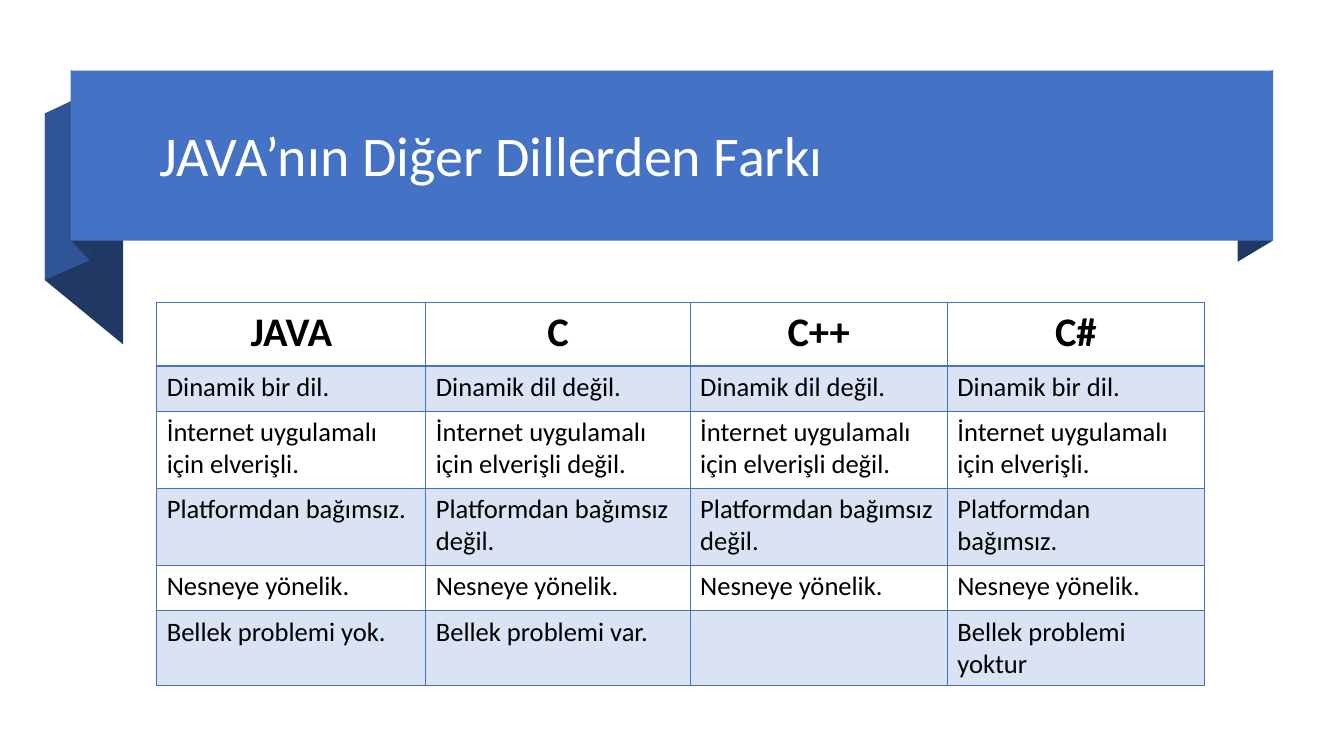
from dataclasses import dataclass

from lxml.etree import SubElement
from pptx import Presentation
from pptx.dml.color import RGBColor
from pptx.enum.shapes import MSO_SHAPE
from pptx.enum.text import PP_ALIGN
from pptx.oxml.ns import qn
from pptx.util import Pt

FONT = "Calibri"
COLORS = {
    "band": "4472C4",
    "side": "2F5597",
    "shade": "203864",
    "stripe": "DAE3F3",
    "title": "FFFFFF",
    "text": "000000",
}


@dataclass(frozen=True)
class Fold:
    """A ribbon fold: a parallelogram with upright sides, in points."""

    left: float
    right: float
    left_top: float
    right_top: float
    depth: float
    color: str


@dataclass(frozen=True)
class Row:
    """A table row with its height in points."""

    height: float
    texts: tuple[str, ...]


FOLDS = (
    Fold(883.5, 909.3, 65.5, 50.4, 121.5, "shade"),
    Fold(32.4, 88.2, 80.6, 126, 119.5, "shade"),
    Fold(32.4, 64.2, 80.6, 66.2, 119.5, "side"),
    Fold(51, 64.2, 50.4, 64, 121.5, "shade"),
)
COLUMN_WIDTHS = (192.2, 188.8, 183.7, 183.7)
ROWS = (
    Row(45.4, ("JAVA", "C", "C++", "C#")),
    Row(32.5, ("Dinamik bir dil.", "Dinamik dil değil.",
               "Dinamik dil değil.", "Dinamik bir dil.")),
    Row(55, ("İnternet uygulamalı için elverişli.",
             "İnternet uygulamalı için elverişli değil.",
             "İnternet uygulamalı için elverişli değil.",
             "İnternet uygulamalı için elverişli.")),
    Row(55, ("Platformdan bağımsız.", "Platformdan bağımsız değil.",
             "Platformdan bağımsız değil.", "Platformdan bağımsız.")),
    Row(32.5, ("Nesneye yönelik.",) * 4),
    Row(53.5, ("Bellek problemi yok.", "Bellek problemi var.", "",
               "Bellek problemi yoktur")),
)


def rgb(name: str) -> RGBColor:
    """Look up a palette colour."""
    return RGBColor.from_string(COLORS[name])


def paint(shape, color: str) -> None:
    """Give a shape a flat fill without line or shadow."""
    shape.shadow.inherit = False
    shape.fill.solid()
    shape.fill.fore_color.rgb = rgb(color)
    shape.line.fill.background()


def style_text(frame, size: float, color: str, bold: bool = False) -> None:
    """Format every run of a text frame."""
    for paragraph in frame.paragraphs:
        for run in paragraph.runs:
            run.font.name = FONT
            run.font.size = Pt(size)
            run.font.bold = bold
            run.font.color.rgb = rgb(color)


def draw_fold(shapes, fold: Fold) -> None:
    """Draw one fold of the ribbon."""
    outline = shapes.build_freeform(fold.left, fold.left_top, scale=Pt(1))
    outline.add_line_segments((
        (fold.right, fold.right_top),
        (fold.right, fold.right_top + fold.depth),
        (fold.left, fold.left_top + fold.depth),
    ))
    paint(outline.convert_to_shape(), fold.color)


def draw_ribbon(shapes) -> None:
    """Draw the folds and the band in front of them."""
    for fold in FOLDS:
        draw_fold(shapes, fold)
    band = shapes.add_shape(MSO_SHAPE.RECTANGLE, Pt(50.4), Pt(50.4), Pt(859), Pt(121.5))
    paint(band, "band")


def draw_title(shapes) -> None:
    """Write the slide title on the band."""
    title = shapes.add_textbox(Pt(106.6), Pt(82.8), Pt(625), Pt(55.4)).text_frame
    title.word_wrap = True
    title.text = "JAVA’nın Diğer Dillerden Farkı"
    style_text(title, 40, "title")


def add_borders(cell, top: float, bottom: float) -> None:
    """Add four solid borders to a cell, before its fill is set."""
    properties = cell._tc.get_or_add_tcPr()
    for side, width in (("L", 1), ("R", 1), ("T", top), ("B", bottom)):
        line = SubElement(properties, qn(f"a:ln{side}"), w=str(Pt(width)))
        fill = SubElement(line, qn("a:solidFill"))
        SubElement(fill, qn("a:srgbClr"), val=COLORS["band"])


def draw_comparison(shapes) -> None:
    """Draw the table that compares the languages."""
    comparison = shapes.add_table(
        len(ROWS), len(COLUMN_WIDTHS), Pt(112), Pt(216),
        Pt(sum(COLUMN_WIDTHS)), Pt(sum(row.height for row in ROWS)),
    ).table
    for column, width in zip(comparison.columns, COLUMN_WIDTHS):
        column.width = Pt(width)
    for index, row in enumerate(ROWS):
        comparison.rows[index].height = Pt(row.height)
        is_header = index == 0
        for cell, text in zip(comparison.rows[index].cells, row.texts):
            add_borders(cell, 2 if index == 1 else 1, 2 if is_header else 1)
            if index % 2:
                cell.fill.solid()
                cell.fill.fore_color.rgb = rgb("stripe")
            else:
                cell.fill.background()
            cell.text_frame.text = text
            style_text(cell.text_frame, 29 if is_header else 19, "text", is_header)
            if is_header:
                cell.text_frame.paragraphs[0].alignment = PP_ALIGN.CENTER


def main() -> None:
    """Build the slide and save it."""
    deck = Presentation()
    deck.slide_width, deck.slide_height = Pt(960), Pt(540)
    shapes = deck.slides.add_slide(deck.slide_layouts[6]).shapes
    draw_ribbon(shapes)
    draw_comparison(shapes)
    draw_title(shapes)
    deck.save("out.pptx")


main()
